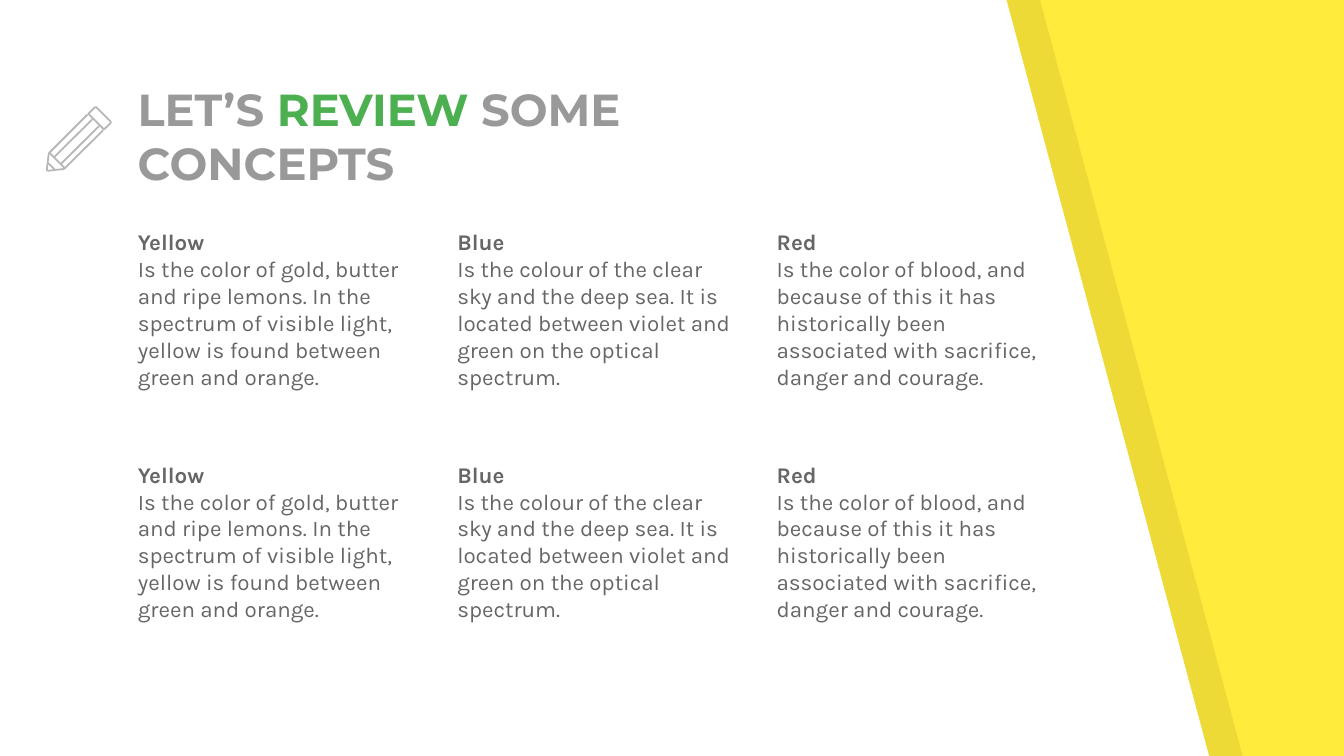
"""Build the colour concepts review slide."""
from pptx import Presentation
from pptx.dml.color import RGBColor
from pptx.enum.text import MSO_ANCHOR as Anchor
from pptx.oxml.ns import qn
from pptx.util import Pt
from lxml.etree import SubElement

WIDTH, HEIGHT = 720, 405
YELLOW, WHITE, BLACK = "FFEB3B", "FFFFFF", "000000"
GRAY, GREEN, TEXT, OUTLINE = "999999", "4CAF50", "666666", "B7B7B7"

TITLE = [("LET’S ", GRAY), ("REVIEW", GREEN), (" SOME CONCEPTS", GRAY)]
CONCEPTS = [
    ("Yellow", "Is the color of gold, butter and ripe lemons. In the spectrum "
     "of visible light, yellow is found between green and orange."),
    ("Blue", "Is the colour of the clear sky and the deep sea. It is located "
     "between violet and green on the optical spectrum."),
    ("Red", "Is the color of blood, and because of this it has historically "
     "been associated with sacrifice, danger and courage."),
]
ROWS = 2
LEFT, TOP, COLUMN_STEP, ROW_STEP = 66.8, 115.2, 171.1, 124.5
BOX_WIDTH, BOX_HEIGHT = 162.7, 103

PANELS = [
    (18, 557.2, 665.7, BLACK, 7),
    (0, 539.2, 647.7, WHITE, 100),
]
ERASER = [(59.1, 65), (52, 57.9), (51.5, 57.5), (50.9, 57.5), (50.4, 57.9),
          (47.3, 61), (55.7, 69.4), (59.1, 66.1), (59.4, 65.6)]
PENCIL_LINES = [
    [(53, 67.6), (32.5, 88)],
    [(46.9, 61.4), (26.5, 81.8), (26.1, 82.6), (25.1, 90.8), (25.2, 91.3),
     (25.8, 91.5), (34, 90.6), (34.7, 90.2), (55.3, 69.8)],
    [(28.9, 84.3), (49.5, 63.9)],
    [(29.4, 90.9), (25.8, 87.3)],
    [(26.5, 81.9), (34.7, 90.1)],
]


def rgb(value):
    return RGBColor.from_string(value)


def add_outline(shapes, points, close):
    start, *rest = [(Pt(x), Pt(y)) for x, y in points]
    builder = shapes.build_freeform(*start)
    builder.add_line_segments(rest, close=close)
    shape = builder.convert_to_shape()
    shape.shadow.inherit = False
    return shape


def add_panel(shapes, left, top_right, bottom_right, color, opacity):
    corners = [(left, 0), (left, HEIGHT), (bottom_right, HEIGHT), (top_right, 0)]
    panel = add_outline(shapes, corners, True)
    panel.fill.solid()
    panel.fill.fore_color.rgb = rgb(color)
    panel.line.fill.background()
    if opacity < 100:
        fill_color = panel.fill._xPr.find(qn("a:solidFill"))[0]
        SubElement(fill_color, qn("a:alpha")).set("val", str(opacity * 1000))


def add_stroke(shapes, points, close=False):
    stroke = add_outline(shapes, points, close)
    stroke.fill.background()
    stroke.line.color.rgb = rgb(OUTLINE)
    stroke.line.width = Pt(0.96)


def add_box(shapes, left, top, width, height, anchor):
    frame = shapes.add_textbox(Pt(left), Pt(top), Pt(width), Pt(height)).text_frame
    frame.word_wrap = True
    frame.vertical_anchor = anchor
    frame.margin_left = frame.margin_right = Pt(7.2)
    frame.margin_top = frame.margin_bottom = Pt(7.2)
    return frame


def add_span(para, text, font, size, color, bold):
    span = para.add_run()
    span.text = text
    span.font.name = font
    span.font.size = Pt(size)
    span.font.bold = bold
    span.font.color.rgb = rgb(color)


def main():
    deck = Presentation()
    deck.slide_width, deck.slide_height = Pt(WIDTH), Pt(HEIGHT)
    page = deck.slides.add_slide(deck.slide_layouts[6])
    page.background.fill.solid()
    page.background.fill.fore_color.rgb = rgb(YELLOW)

    for panel in PANELS:
        add_panel(page.shapes, *panel)

    title = add_box(page.shapes, 66.6, 76.3, 378, 32.4, Anchor.BOTTOM)
    for text, color in TITLE:
        add_span(title.paragraphs[0], text, "Montserrat", 24, color, True)

    for row in range(ROWS):
        for column, (name, description) in enumerate(CONCEPTS):
            box = add_box(page.shapes, LEFT + column * COLUMN_STEP,
                          TOP + row * ROW_STEP, BOX_WIDTH, BOX_HEIGHT, Anchor.TOP)
            add_span(box.paragraphs[0], name, "Karla", 12, TEXT, True)
            add_span(box.add_paragraph(), description, "Karla", 12, TEXT, False)

    pencil = page.shapes.add_group_shape().shapes
    add_stroke(pencil, ERASER, close=True)
    for points in PENCIL_LINES:
        add_stroke(pencil, points)

    deck.save("out.pptx")


if __name__ == "__main__":
    main()
